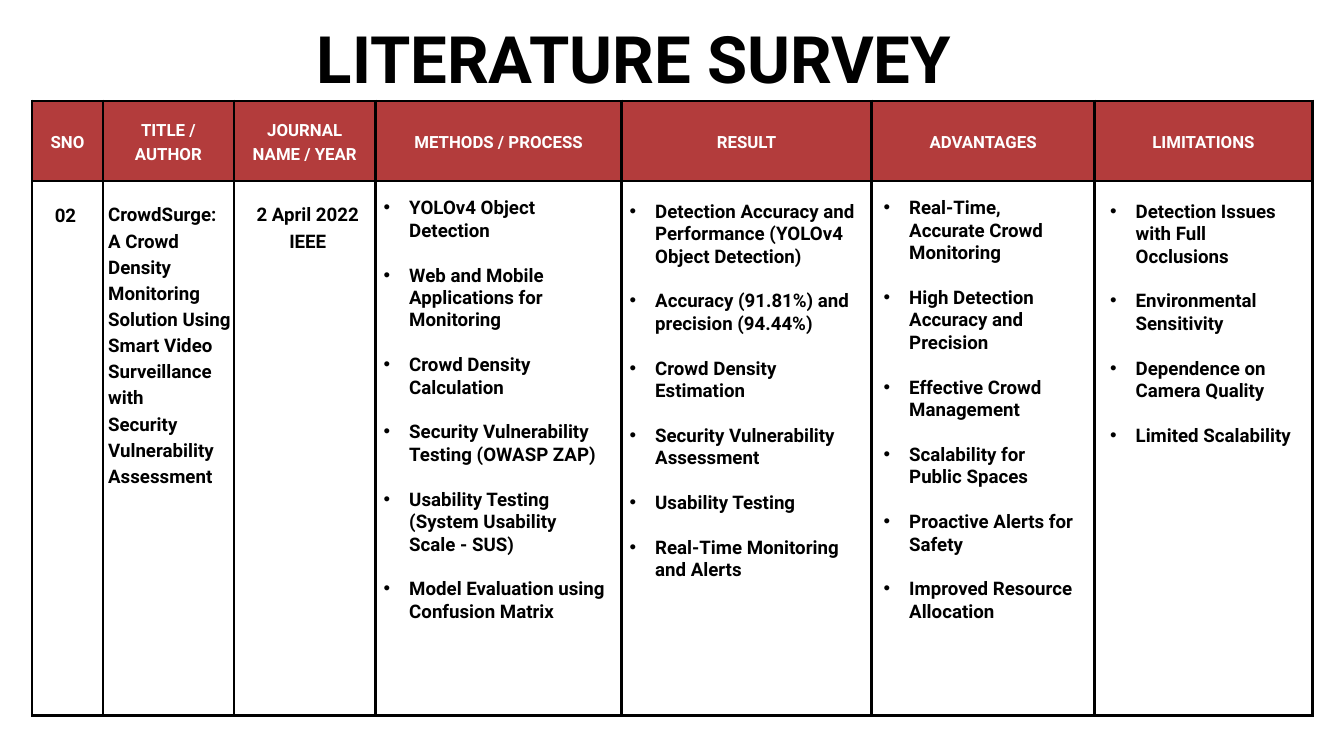
from dataclasses import dataclass
from itertools import accumulate

from lxml.etree import SubElement
from pptx import Presentation
from pptx.dml.color import RGBColor as RGB
from pptx.enum.text import MSO_ANCHOR as Anchor, PP_ALIGN as Align
from pptx.oxml.ns import qn
from pptx.util import Inches, Pt


@dataclass(frozen=True)
class Theme:
    font: str = "Roboto"
    ink: RGB = RGB(0, 0, 0)
    paper: RGB = RGB(255, 255, 255)
    head: RGB = RGB(0xB3, 0x3C, 0x3C)
    title: int = 70
    label: int = 18
    body: int = 20
    rule: int = 3
    gap: int = 24
    lead: float = 1.4


@dataclass(frozen=True)
class Column:
    label: str
    width: float
    inset: tuple  # left, top and width of the text within the body cell
    items: tuple
    align: Align = Align.LEFT
    listed: bool = False


THEME = Theme()
TABLE = (0.48, 1.5)
ROWS = (1.19, 7.96)
INDENT = 0.38

COLUMNS = (
    Column("SNO", 1.05, (0.14, 0.29, 0.71), ("02",), Align.CENTER),
    Column("TITLE / AUTHOR", 1.95, (0.08, 0.28, 1.84), (
        "CrowdSurge: A Crowd Density Monitoring",
        "Solution Using Smart Video Surveillance with",
        "Security Vulnerability Assessment")),
    Column("JOURNAL NAME / YEAR", 2.11, (0.3, 0.28, 1.6),
           ("2 April 2022", "IEEE"), Align.CENTER),
    Column("METHODS / PROCESS", 3.66, (0.12, 0.23, 3.31), (
        "YOLOv4 Object Detection",
        "Web and Mobile Applications for Monitoring",
        "Crowd Density Calculation",
        "Security Vulnerability Testing (OWASP ZAP)",
        "Usability Testing (System Usability Scale - SUS)",
        "Model Evaluation using Confusion Matrix"), listed=True),
    Column("RESULT", 3.72, (0.12, 0.28, 3.43), (
        "Detection Accuracy and Performance (YOLOv4 Object Detection)",
        "Accuracy (91.81%) and precision (94.44%)",
        "Crowd Density Estimation",
        "Security Vulnerability Assessment",
        "Usability Testing",
        "Real-Time Monitoring and Alerts"), listed=True),
    Column("ADVANTAGES", 3.32, (0.18, 0.23, 2.89), (
        "Real-Time, Accurate Crowd Monitoring",
        "High Detection Accuracy and Precision",
        "Effective Crowd Management",
        "Scalability for Public Spaces",
        "Proactive Alerts for Safety",
        "Improved Resource Allocation"), listed=True),
    Column("LIMITATIONS", 3.24, (0.23, 0.28, 2.77), (
        "Detection Issues with Full Occlusions",
        "Environmental Sensitivity",
        "Dependence on Camera Quality",
        "Limited Scalability"), listed=True),
)


def assign(target, values):
    for name, value in values.items():
        setattr(target, name, value)


def add_bullet(para):
    props = para._p.get_or_add_pPr()
    props.set("marL", str(Inches(INDENT)))
    props.set("indent", str(-Inches(INDENT)))
    SubElement(props, qn("a:buFont")).set("typeface", "Arial")
    SubElement(props, qn("a:buChar")).set("char", "•")


def write(frame, items, size, color, align=Align.LEFT, listed=False):
    """Fill a text frame with bold paragraphs, bulleted and spaced if listed."""
    for index, item in enumerate(items):
        para = frame.add_paragraph() if index else frame.paragraphs[0]
        para.alignment = align
        if not listed:
            para.line_spacing = Pt(size * THEME.lead)
        else:
            if index:
                para.space_before = Pt(THEME.gap)
            add_bullet(para)
        run = para.add_run()
        run.text = item
        assign(run.font, {"name": THEME.font, "size": Pt(size), "bold": True})
        run.font.color.rgb = color


def add_text(slide, box, items, size, **layout):
    frame = slide.shapes.add_textbox(*map(Inches, box)).text_frame
    assign(frame, {"word_wrap": True, "margin_left": 0, "margin_right": 0,
                   "margin_top": 0, "margin_bottom": 0})
    write(frame, items, size, THEME.ink, **layout)


def add_borders(cell):
    props = cell._tc.get_or_add_tcPr()
    for index, side in enumerate(("lnL", "lnR", "lnT", "lnB")):
        line = props.makeelement(qn("a:" + side), {"w": str(Pt(THEME.rule))})
        props.insert(index, line)
        fill = SubElement(line, qn("a:solidFill"))
        SubElement(fill, qn("a:srgbClr")).set("val", str(THEME.ink))


def add_grid(slide, left, top):
    """Place the ruled table with its heading row."""
    widths = [col.width for col in COLUMNS]
    box = map(Inches, (left, top, sum(widths), sum(ROWS)))
    table = slide.shapes.add_table(len(ROWS), len(COLUMNS), *box).table
    assign(table, {"first_row": False, "horz_banding": False})
    for row, height in zip(table.rows, ROWS):
        row.height = Inches(height)
    pad = Inches(0.21)
    for index, col in enumerate(COLUMNS):
        table.columns[index].width = Inches(col.width)
        head, body = table.cell(0, index), table.cell(1, index)
        assign(head, {"vertical_anchor": Anchor.MIDDLE, "margin_left": pad,
                      "margin_right": pad, "margin_top": pad,
                      "margin_bottom": pad})
        head.fill.solid()
        head.fill.fore_color.rgb = THEME.head
        write(head.text_frame, (col.label,), THEME.label, THEME.paper,
              Align.CENTER)
        body.fill.background()
        add_borders(head)
        add_borders(body)


def add_entry(slide, left, top):
    """Place the text of the body row over its cells."""
    starts = accumulate((col.width for col in COLUMNS), initial=left)
    for col, start in zip(COLUMNS, starts):
        dx, dy, width = col.inset
        box = (start + dx, top + dy, width, ROWS[1] - 2 * dy)
        add_text(slide, box, col.items, THEME.body,
                 align=col.align, listed=col.listed)


def main():
    deck = Presentation()
    assign(deck, {"slide_width": Inches(20), "slide_height": Inches(11.25)})
    slide = deck.slides.add_slide(deck.slide_layouts[6])
    left, top = TABLE
    add_grid(slide, left, top)
    add_text(slide, (3.94, 0.07, 11.23, 1.37), ("LITERATURE SURVEY ",),
             THEME.title, align=Align.CENTER)
    add_entry(slide, left, top + ROWS[0])
    deck.save("out.pptx")


if __name__ == "__main__":
    main()
